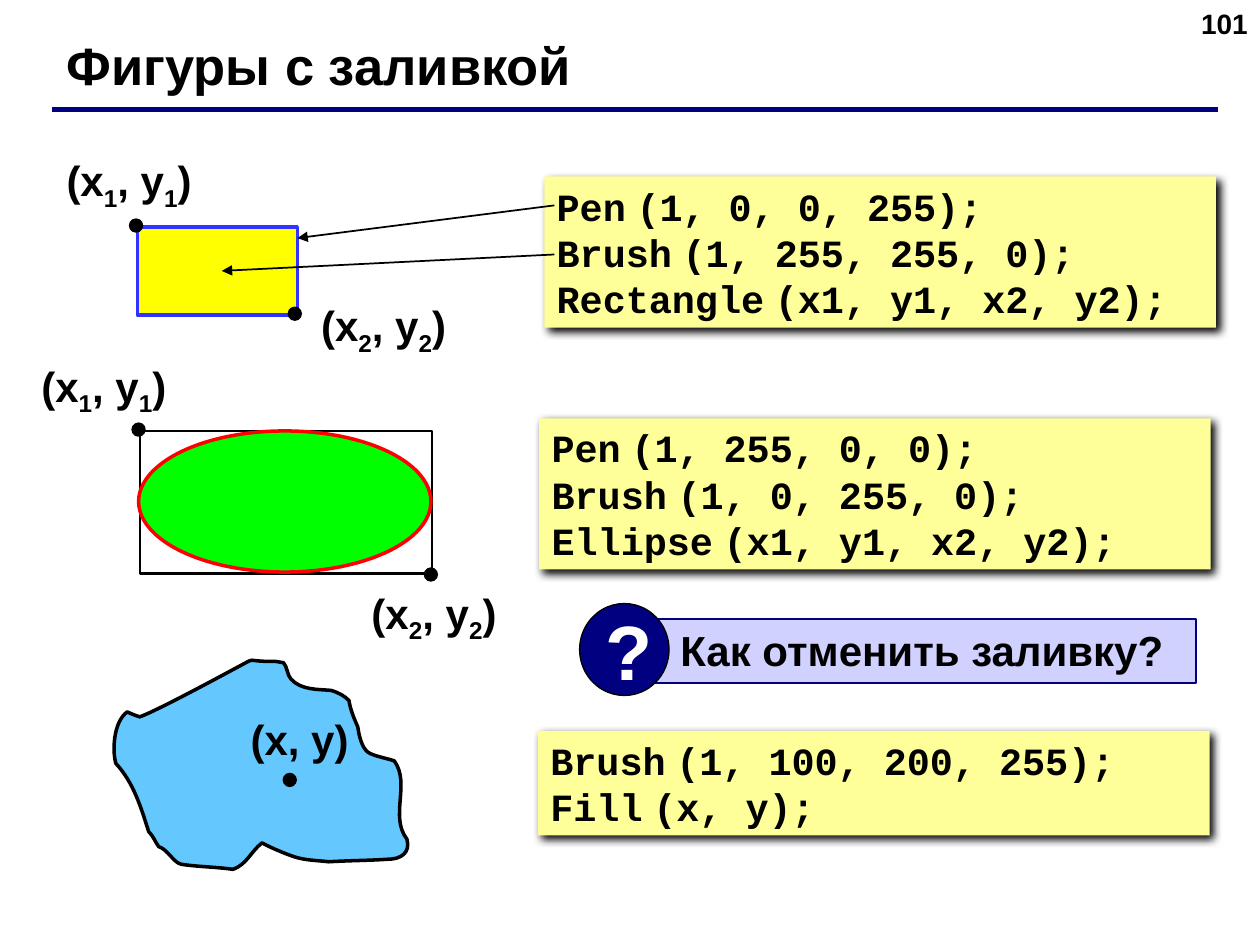
from dataclasses import dataclass

from lxml.etree import SubElement
from pptx import Presentation
from pptx.dml.color import RGBColor
from pptx.enum.shapes import MSO_CONNECTOR as Connector, MSO_SHAPE as Shape
from pptx.enum.text import MSO_ANCHOR as Anchor, PP_ALIGN as Align
from pptx.oxml.ns import qn
from pptx.util import Inches, Pt


@dataclass(frozen=True)
class Theme:
    black: str = "000000"
    white: str = "FFFFFF"
    navy: str = "000080"
    lavender: str = "D1D1FF"
    code_fill: str = "FFFF99"
    blue: str = "3333FF"
    yellow: str = "FFFF00"
    red: str = "FF0000"
    green: str = "00FF00"
    sky: str = "64C8FF"
    font: str = "Arial"
    code_font: str = "Courier New"
    number_size: int = 16
    code_size: int = 22
    label_size: int = 24
    title_size: int = 30
    sign_size: int = 44


THEME = Theme()
DOT = 0.1

# Cubic curves of the filled region: two control points and an end point
REGION_START = (1.11, 5.69)
REGION_CURVES = [
    (1.27, 5.63), (1.82, 5.33), (1.97, 5.25), (1.97, 5.24), (1.99, 5.25), (2, 5.24),
    (2.07, 5.25), (2.13, 5.25), (2.19, 5.25), (2.21, 5.26), (2.23, 5.25), (2.25, 5.26),
    (2.28, 5.29), (2.28, 5.36), (2.31, 5.39), (2.39, 5.48), (2.53, 5.47), (2.63, 5.48),
    (2.69, 5.5), (2.73, 5.52), (2.77, 5.56), (2.78, 5.63), (2.81, 5.7), (2.84, 5.77),
    (2.85, 5.84), (2.87, 5.93), (2.92, 5.97), (2.96, 6), (3.08, 6.02), (3.13, 6.04),
    (3.26, 6.22), (3.09, 6.48), (3.23, 6.66), (3.26, 6.77), (3.18, 6.82), (3.08, 6.82),
    (2.93, 6.83), (2.77, 6.83), (2.61, 6.84), (2.53, 6.83), (2.45, 6.83), (2.37, 6.81),
    (2.32, 6.8), (2.15, 6.73), (2.08, 6.69), (1.99, 6.76), (1.96, 6.86), (1.85, 6.9),
    (1.71, 6.88), (1.57, 6.88), (1.44, 6.86), (1.38, 6.85), (1.33, 6.74), (1.26, 6.72),
    (1.23, 6.68), (1.22, 6.64), (1.18, 6.6), (1.12, 6.41), (1.06, 6.21), (0.92, 6.06),
    (0.89, 5.96), (0.9, 5.73), (1.01, 5.65), (1.05, 5.67), (1.08, 5.68), (1.11, 5.69),
]


def rgb(color):
    return RGBColor.from_string(color)


def add_run(paragraph, text, size, color, font, subscript=False):
    run = paragraph.add_run()
    run.text = text
    run.font.size, run.font.bold, run.font.name = Pt(size), True, font
    run.font.color.rgb = rgb(color)
    if subscript:
        run.font._element.set("baseline", "-25000")


def write(owner, text, size=THEME.label_size, color=THEME.black, font=THEME.font,
          align=Align.LEFT, anchor=Anchor.TOP, wrap=True, inset=0.1):
    """Write lines of text; an underscore lowers the next character."""
    frame = owner.text_frame
    frame.word_wrap, frame.vertical_anchor = wrap, anchor
    frame.margin_left = Inches(inset)
    for index, line in enumerate(text.split("\n")):
        paragraph = frame.add_paragraph() if index else frame.paragraphs[0]
        paragraph.alignment = align
        style = dict(size=size, color=color, font=font)
        if font == THEME.code_font:
            # The gap after a command name is set in the narrower text font
            command, gap, arguments = line.partition(" ")
            add_run(paragraph, command, **style)
            add_run(paragraph, gap, size, color, THEME.font)
            add_run(paragraph, arguments, **style)
            continue
        plain, *lowered = line.split("_")
        add_run(paragraph, plain, **style)
        for part in lowered:
            add_run(paragraph, part[0], subscript=True, **style)
            add_run(paragraph, part[1:], **style)


def add_text(canvas, box, text, **style):
    write(canvas.shapes.add_textbox(*map(Inches, box)), text, **style)


def paint(shape, fill=None, line=None, width=1):
    shape.shadow.inherit = False
    if fill:
        shape.fill.solid()
        shape.fill.fore_color.rgb = rgb(fill)
    else:
        shape.fill.background()
    if line:
        shape.line.color.rgb = rgb(line)
        shape.line.width = Pt(width)
    else:
        shape.line.fill.background()


def add_figure(canvas, kind, box, **look):
    figure = canvas.shapes.add_shape(kind, *map(Inches, box))
    paint(figure, **look)
    return figure


def add_dot(canvas, left, top):
    add_figure(canvas, Shape.OVAL, (left, top, DOT, DOT), fill=THEME.black, line=THEME.black)


def add_label(canvas, left, top, text, width=1.24):
    add_text(canvas, (left, top, width, 0.5), text, wrap=False)


def add_line(canvas, start, end, color=THEME.black, width=1, arrow=False):
    line = canvas.shapes.add_connector(Connector.STRAIGHT, *map(Inches, start + end))
    line.line.color.rgb = rgb(color)
    line.line.width = Pt(width)
    if arrow:
        SubElement(line.line._get_or_add_ln(), qn("a:tailEnd"), type="triangle")
    SubElement(line._element.spPr, qn("a:effectLst"))


def add_code(canvas, left, top, height, code):
    panel = add_figure(canvas, Shape.RECTANGLE, (left, top, 5.33, height), fill=THEME.code_fill)
    effects = panel._element.spPr.find(qn("a:effectLst"))
    shadow = SubElement(effects, qn("a:outerShdw"), blurRad=str(Pt(5)), dist=str(Pt(2.8)),
                        dir="2700000", algn="ctr", rotWithShape="0")
    SubElement(shadow, qn("a:srgbClr"), val=THEME.black)
    write(panel, code, size=THEME.code_size, font=THEME.code_font)


def add_curved_outline(canvas, start, points, **look):
    builder = canvas.shapes.build_freeform(*map(Inches, start))
    builder.add_line_segments([tuple(map(Inches, point)) for point in points], close=True)
    outline = builder.convert_to_shape()
    # Join every three segments into one cubic curve
    segments = list(outline._element.iter(qn("a:lnTo")))
    for first, second, last in zip(*[iter(segments)] * 3):
        first.tag = qn("a:cubicBezTo")
        for segment in (second, last):
            first.append(segment[0])
            segment.getparent().remove(segment)
    paint(outline, **look)


def add_header(slide):
    add_text(slide, (7.67, 0, 2.33, 0.52), "101", size=THEME.number_size, align=Align.RIGHT)
    add_line(slide, (0.41, 0.87), (9.67, 0.87), color=THEME.navy, width=3)
    add_text(slide, (0.43, 0.21, 8.9, 0.6), "Фигуры с заливкой", size=THEME.title_size)


def add_rectangle_example(slide):
    drawing = slide.shapes.add_group_shape()
    add_label(drawing, 0.43, 1.18, "(x_1, y_1)")
    add_label(drawing, 2.45, 2.33, "(x_2, y_2)")
    add_figure(drawing, Shape.RECTANGLE, (1.09, 1.8, 1.27, 0.7),
               fill=THEME.yellow, line=THEME.blue, width=2)
    add_dot(drawing, 2.29, 2.44)
    add_dot(drawing, 1.03, 1.74)
    add_code(slide, 4.32, 1.4, 1.2,
             "Pen (1, 0, 0, 255);\nBrush (1, 255, 255, 0);\nRectangle (x1, y1, x2, y2);")
    # Arrows from the commands to the outline and the filling
    add_line(slide, (4.4, 1.63), (2.36, 1.89), arrow=True)
    add_line(slide, (4.4, 2.02), (1.76, 2.15), arrow=True)


def add_ellipse_example(slide):
    drawing = slide.shapes.add_group_shape()
    add_figure(drawing, Shape.RECTANGLE, (1.11, 3.42, 2.32, 1.13), line=THEME.black, width=1.5)
    add_dot(drawing, 3.37, 4.51)
    add_dot(drawing, 1.05, 3.36)
    add_figure(drawing, Shape.OVAL, (1.1, 3.42, 2.32, 1.12),
               fill=THEME.green, line=THEME.red, width=2)
    add_label(drawing, 0.23, 2.81, "(x_1, y_1)")
    add_label(drawing, 2.85, 4.61, "(x_2, y_2)")
    add_code(slide, 4.28, 3.32, 1.2,
             "Pen (1, 255, 0, 0);\nBrush (1, 0, 255, 0);\nEllipse (x1, y1, x2, y2);")


def add_region_example(slide):
    add_code(slide, 4.27, 5.8, 0.83, "Brush (1, 100, 200, 255);\nFill (x, y);")
    drawing = slide.shapes.add_group_shape()
    add_curved_outline(drawing, REGION_START, REGION_CURVES,
                       fill=THEME.sky, line=THEME.black, width=2)
    add_label(drawing, 1.89, 5.61, "(x, y)", width=1.01)
    add_dot(drawing, 2.25, 6.14)


def add_question(slide):
    callout = slide.shapes.add_group_shape()
    question = add_figure(callout, Shape.RECTANGLE, (5.11, 4.91, 4.38, 0.51),
                          fill=THEME.lavender, line=THEME.navy)
    write(question, "Как отменить заливку?", inset=0.29)
    sign = add_figure(callout, Shape.OVAL, (4.6, 4.79, 0.71, 0.73),
                      fill=THEME.navy, line=THEME.black, width=0.75)
    write(sign, "?", size=THEME.sign_size, color=THEME.white,
          align=Align.CENTER, anchor=Anchor.MIDDLE)


def main():
    deck = Presentation()
    deck.slide_width, deck.slide_height = Inches(10), Inches(7.5)
    slide = deck.slides.add_slide(deck.slide_layouts[6])
    add_header(slide)
    add_rectangle_example(slide)
    add_ellipse_example(slide)
    add_region_example(slide)
    add_question(slide)
    deck.save("out.pptx")


main()
